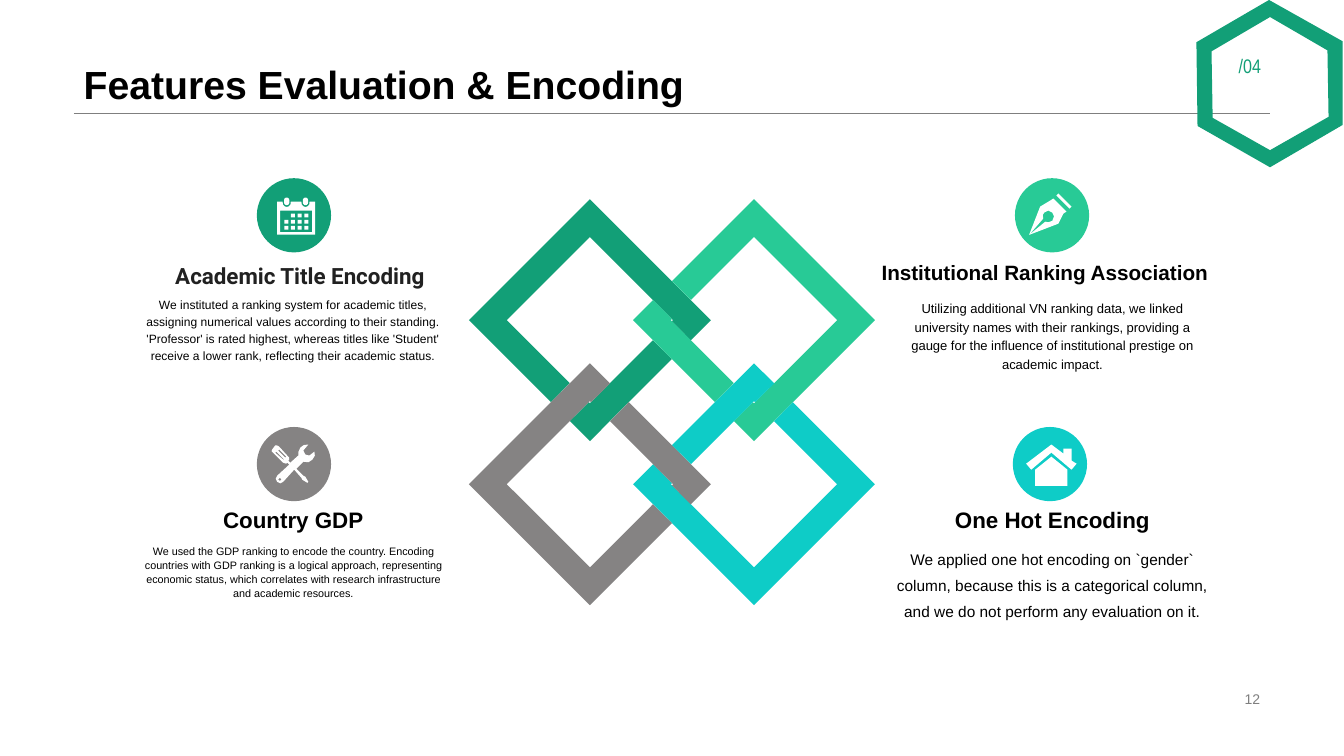
from lxml.etree import SubElement
from pptx import Presentation
from pptx.dml.color import RGBColor
from pptx.enum.shapes import MSO_CONNECTOR, MSO_SHAPE
from pptx.enum.text import MSO_ANCHOR, PP_ALIGN
from pptx.oxml.ns import qn
from pptx.util import Pt

GREEN = RGBColor(0x12, 0x9F, 0x77)
MINT = RGBColor(0x28, 0xCA, 0x96)
CYAN = RGBColor(0x0E, 0xCC, 0xC7)
STONE = RGBColor(0x85, 0x83, 0x83)
GRAY = RGBColor(0x7F, 0x7F, 0x7F)
INK = RGBColor(0x21, 0x21, 0x21)
BLACK = RGBColor(0, 0, 0)
WHITE = RGBColor(0xFF, 0xFF, 0xFF)

RING_CENTER = (421.4, 228.7)
RING_STEP = 117.2
RING_LONG_PART = [
    (86.4, 0), (72, 14.4), (58.6, 0.8), (59.4, 0), (58.6, -0.8), (45, -14.4),
    (0, -59.4), (-59.4, 0), (-14.4, 45), (-27.8, 58.6), (-86.4, 0), (0, -86.4),
]
RING_SHORT_PART = [
    (14.4, 45), (0.8, 58.6), (0, 59.4), (-0.8, 58.6), (-14.4, 72), (0, 86.4),
    (27.8, 58.6), (58.6, 27.8), (45, 14.4),
]
RINGS = [(0, 0, GREEN), (1, 0, MINT), (1, 1, CYAN), (0, 1, STONE)]

BADGES = [
    (183.5, 127.3, GREEN), (183.5, 305, STONE),
    (725, 127.3, MINT), (723.5, 305, CYAN),
]
HEXAGON = [
    [(959, 89.3), (907.2, 119.5), (855.4, 90), (854.6, 30.2), (906.5, 0), (959, 29.5)],
    [(907.2, 107.3), (949, 83.5), (948.2, 36), (907.2, 12.2), (865.4, 36.7), (866.2, 84.2)],
]
CALENDAR_RINGS = (204.8, 218.2)
CALENDAR_NOTCH = [(-2.9, 144), (-2.7, 146), (-1.5, 147.4), (0, 147.8), (1.5, 147.4), (2.7, 146), (2.9, 144)]
CALENDAR_WINDOW = [(200.1, 150.5), (222.9, 150.5), (222.9, 165.8), (200.1, 165.8)]
PEN_NIB = [
    (758.2, 147.6), (752.4, 141.8), (750.2, 143.3), (743, 147.6), (735.1, 167.8),
    (745.2, 156.2), (744.9, 153.5), (745.9, 151.9), (748.8, 150.4), (751.7, 151.9),
    (752.9, 154.6), (751.7, 157.7), (749, 158.8), (746.6, 158.4), (735.1, 167.8),
    (756, 159.8), (759.6, 152.6), (761.8, 151.2),
]
PEN_COLLAR = [(756, 138.2), (765.4, 147.6), (763.9, 149), (754.6, 139.7)]
HOUSE_WALLS = [(739.4, 335.5), (739.4, 347), (762.5, 347), (762.5, 335.5), (751, 326.2)]
HOUSE_ROOF = [
    (765.4, 329), (765.4, 320.4), (759.6, 320.4), (759.6, 324), (751, 317.5),
    (733, 331.2), (736.6, 335.5), (751, 323.3), (765.4, 335.5), (769, 331.2),
]
TOOLS = [
    [(194.4, 321.1), (196.6, 318.2), (198, 318.2), (199.4, 319), (206.6, 326.9),
     (206.6, 328.3), (205.9, 329), (207.4, 330.5), (213.1, 325.4), (213.1, 323),
     (214.6, 319.7), (217, 317.9), (220.3, 317.5), (216.7, 321.8), (218.2, 324.7),
     (221, 325.4), (224.6, 322.6), (224.9, 325.4), (223.2, 328.3), (220.3, 330.2),
     (216.7, 329.8), (211.7, 334.8), (216.7, 339.8), (218.2, 340.6), (220.3, 344.2),
     (219.6, 344.9), (216, 342.7), (215.3, 341.3), (210.2, 335.5), (202.3, 344.2),
     (200.2, 345.2), (198, 344.2), (197, 342), (198, 339.8), (206.6, 331.9),
     (205.2, 330.5), (204.5, 331.2), (202.3, 330.5), (195.1, 323.3), (194, 322.2)],
    [(200, 341.3), (198.7, 342.5), (200, 343.6), (201.1, 342.5)],
    [(203.8, 326.9), (204.5, 326.2), (199.4, 321.1), (198.7, 321.8)],
    [(202.3, 328.3), (203, 328.3), (197.3, 322.6), (196.6, 323.3)],
]

HEADINGS = [
    ("Academic Title Encoding", 118.1, 183.6, 229, 16, "Roboto", INK, PP_ALIGN.LEFT),
    ("Institutional Ranking Association", 616.3, 182.2, 260, 14.8, "Arial", BLACK, PP_ALIGN.CENTER),
    ("Country GDP", 90, 357.8, 239, 16, "Arial", BLACK, PP_ALIGN.CENTER),
    ("One Hot Encoding", 632.2, 357.8, 239, 16, "Arial", BLACK, PP_ALIGN.CENTER),
]
BODIES = [
    ("We instituted a ranking system for academic titles, assigning numerical values "
     "according to their standing. 'Professor' is rated highest, whereas titles like "
     "'Student' receive a lower rank, reflecting their academic status.", 90, 206.6, 8.6, 1.2),
    ("Utilizing additional VN ranking data, we linked university names with their "
     "rankings, providing a gauge for the influence of institutional prestige on "
     "academic impact.", 632.2, 208.8, 9.3, 1.2),
    ("We used the GDP ranking to encode the country. Encoding countries with GDP ranking "
     "is a logical approach, representing economic status, which correlates with research "
     "infrastructure and academic resources.", 90, 384.5, 7.7, 1.1),
    ("We applied one hot encoding on `gender` column, because this is a categorical "
     "column, and we do not perform any evaluation on it.", 632.2, 384.5, 11, 1.4),
]


class SlidePainter:
    """Draws flat shapes and styled text on one slide, measured in points."""

    def __init__(self, page):
        self.shapes = page.shapes

    def flatten(self, shape, color):
        shape.shadow.inherit = False
        shape.fill.solid()
        shape.fill.fore_color.rgb = color
        shape.line.fill.background()

    def preset(self, kind, left, top, width, height, color):
        shape = self.shapes.add_shape(kind, Pt(left), Pt(top), Pt(width), Pt(height))
        self.flatten(shape, color)
        return shape

    def outline(self, contours, color):
        corners = [[(Pt(x), Pt(y)) for x, y in contour] for contour in contours]
        builder = self.shapes.build_freeform(*corners[0][0])
        builder.add_line_segments(corners[0][1:], close=True)
        for contour in corners[1:]:
            builder.move_to(*contour[0])
            builder.add_line_segments(contour[1:], close=True)
        self.flatten(builder.convert_to_shape(), color)

    def rule(self, left, right, top, color):
        line = self.shapes.add_connector(MSO_CONNECTOR.STRAIGHT, Pt(left), Pt(top), Pt(right), Pt(top))
        line.line.color.rgb = color
        line.line.width = Pt(0.75)
        SubElement(line._element.spPr, qn("a:effectLst"))

    def text(self, words, left, top, width, height, size, color=BLACK, font="Arial",
             bold=False, align=PP_ALIGN.LEFT, anchor=MSO_ANCHOR.TOP, spacing=1.0):
        box = self.shapes.add_textbox(Pt(left), Pt(top), Pt(width), Pt(height))
        frame = box.text_frame
        frame.word_wrap = True
        frame.vertical_anchor = anchor
        frame.text = words
        para = frame.paragraphs[0]
        para.alignment = align
        para.line_spacing = spacing
        span = para.runs[0]
        span.font.name = font
        span.font.size = Pt(size)
        span.font.bold = bold
        span.font.color.rgb = color

    def ring(self, center_x, center_y, turns, color):
        contours = [RING_LONG_PART, RING_SHORT_PART]
        for _ in range(turns):
            contours = [[(-y, x) for x, y in contour] for contour in contours]
        self.outline([[(center_x + x, center_y + y) for x, y in contour] for contour in contours], color)

    def calendar(self):
        notches = [(middle + x, y) for middle in CALENDAR_RINGS for x, y in CALENDAR_NOTCH]
        cover = [(198, 144), *notches, (225, 144), (225, 167.6), (198, 167.6)]
        self.outline([cover, CALENDAR_WINDOW], WHITE)
        for middle in CALENDAR_RINGS:
            capsule = self.preset(MSO_SHAPE.ROUNDED_RECTANGLE, middle - 1.9, 141.1, 3.8, 5.5, WHITE)
            capsule.adjustments[0] = 0.5
        for row in range(3):
            for column in range(0 if row else 1, 4):
                self.preset(MSO_SHAPE.RECTANGLE, 203.1 + 4.75 * column, 152.6 + 4.4 * row, 2.9, 2.7, WHITE)


def main():
    deck = Presentation()
    deck.slide_width, deck.slide_height = Pt(960), Pt(540)
    painter = SlidePainter(deck.slides.add_slide(deck.slide_layouts[6]))

    painter.rule(52.7, 907.2, 80.9, GRAY)
    painter.text("Features Evaluation & Encoding", 52.7, 0, 854.6, 80.8, 28,
                 bold=True, anchor=MSO_ANCHOR.BOTTOM, spacing=0.9)
    painter.text("12", 678.2, 491, 229, 16.6, 10, GRAY, align=PP_ALIGN.RIGHT, anchor=MSO_ANCHOR.MIDDLE)

    for turns, (column, row, color) in enumerate(RINGS):
        painter.ring(RING_CENTER[0] + RING_STEP * column, RING_CENTER[1] + RING_STEP * row, turns, color)

    for left, top, color in BADGES:
        painter.preset(MSO_SHAPE.FLOWCHART_CONNECTOR, left, top, 53, 53, color)
    painter.calendar()
    painter.outline(TOOLS, WHITE)
    for part in (PEN_NIB, PEN_COLLAR, HOUSE_WALLS, HOUSE_ROOF):
        painter.outline([part], WHITE)

    for words, left, top, width, size, font, color, align in HEADINGS:
        painter.text(words, left, top, width, 26.6, size, color, font, bold=True, align=align)
    for words, left, top, size, spacing in BODIES:
        painter.text(words, left, top, 239, 62.6, size, align=PP_ALIGN.CENTER, spacing=spacing)

    painter.text("/04", 877.7, 34.6, 58.3, 51.1, 14, GREEN, "Arial Narrow")
    painter.outline(HEXAGON, GREEN)
    deck.save("out.pptx")


if __name__ == "__main__":
    main()
